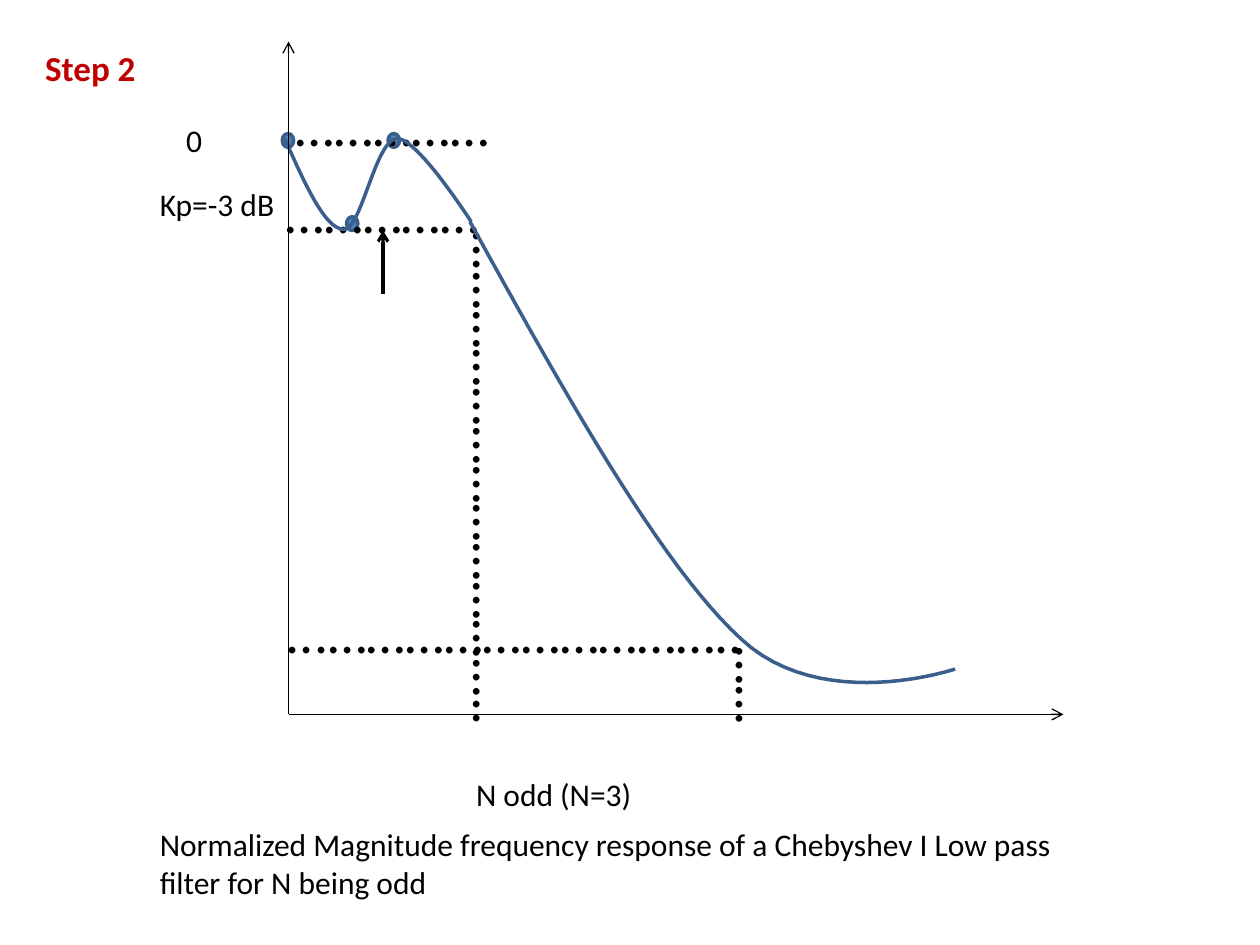
import pptx
import pptx.dml.color
import pptx.enum.shapes
import pptx.oxml.ns
import pptx.util
from lxml import etree

Inches = pptx.util.Inches
qn = pptx.oxml.ns.qn
BLACK, RED, BLUE, DARK_BLUE = "000000", "C00000", "4F81BD", "3A5F8C"
DOT_HEIGHT = 0.64

# Content: text, left, top, width, height, size, colour, bold
LABELS = [
    ("Step 2", 0.26, 0.32, 1.12, 0.44, 20, RED, True),
    ("0", 1.38, 0.91, 0.54, 0.4, 18, BLACK, False),
    ("Kp=-3 dB", 1.17, 1.42, 1.16, 0.4, 18, BLACK, False),
    ("N odd (N=3)", 3.68, 6.1, 1.47, 0.4, 18, BLACK, False),
    ("Normalized Magnitude frequency response of a Chebyshev I Low pass "
     "filter for N being odd", 1.17, 6.5, 7.67, 0.71, 18, BLACK, False),
]
# Dotted guides: text, left, top, width, rotation
GUIDES = [
    ("……………", 2.25, 0.67, 2.42, 0),
    ("……………", 2.17, 1.36, 2.42, 0),
    ("...…………………………..", 2.17, 4.69, 4.58, 0),
    ("...……………………………..", 1.64, 3.69, 4.58, 90),
    ("……", 5.49, 5.24, 1.05, 90),
]
MARKERS = [(2.24, 1.06), (3.08, 1.06), (2.75, 1.72)]
ORIGIN = (2.29, 5.67)
# Arrows: start, end, line width
ARROWS = [
    (ORIGIN, (8.44, 5.67), 0.75),
    (ORIGIN, (2.29, 0.33), 0.75),
    ((3.04, 2.33), (3.04, 1.83), 1.75),
]
# Bezier curves: start point, then two controls and an end for each segment
RIPPLE = [(2.26, 1.1), (2.42, 1.46), (2.58, 1.82), (2.73, 1.82),
          (2.87, 1.82), (2.98, 1.11), (3.15, 1.1),
          (3.31, 1.09), (3.74, 1.76), (3.74, 1.76)]
ROLL_OFF = [(3.73, 1.76), (4.48, 3.12), (5.24, 4.48), (5.88, 5.07),
            (6.52, 5.67), (7.58, 5.31), (7.58, 5.31)]
STEPS = 24


def color(value):
    return pptx.dml.color.RGBColor.from_string(value)


def set_line(shape, value, width):
    shape.line.color.rgb = color(value)
    shape.line.width = pptx.util.Pt(width)


def add_text(slide, text, left, top, width, height, size, value, bold=False):
    shape = slide.shapes.add_textbox(*map(Inches, (left, top, width, height)))
    shape.text_frame.word_wrap = True
    shape.text_frame.text = text
    font = shape.text_frame.paragraphs[0].runs[0].font
    font.name, font.size, font.bold = "Calibri", pptx.util.Pt(size), bold
    font.color.rgb = color(value)
    return shape


def add_marker(slide, left, top):
    shape = slide.shapes.add_shape(
        pptx.enum.shapes.MSO_SHAPE.OVAL, *map(Inches, (left, top, 0.09, 0.11)))
    shape.shadow.inherit = False
    shape.fill.solid()
    shape.fill.fore_color.rgb = color(BLUE)
    set_line(shape, DARK_BLUE, 2)


def add_arrow(slide, start, end, width):
    arrow = slide.shapes.add_connector(
        pptx.enum.shapes.MSO_CONNECTOR.STRAIGHT, *map(Inches, start + end))
    set_line(arrow, BLACK, width)
    properties = arrow.element.find(qn("p:spPr"))
    etree.SubElement(properties.find(qn("a:ln")), qn("a:tailEnd"), type="arrow")
    etree.SubElement(properties, qn("a:effectLst"))


def bezier(points, t):
    weights = ((1 - t) ** 3, 3 * t * (1 - t) ** 2, 3 * t * t * (1 - t), t ** 3)
    return tuple(sum(w * p[axis] for w, p in zip(weights, points)) for axis in (0, 1))


def add_curve(slide, points):
    vertices = [bezier(points[i:i + 4], step / STEPS)
                for i in range(0, len(points) - 1, 3) for step in range(1, STEPS + 1)]
    # Whole EMU coordinates keep the sampled curve smooth
    start, *others = [tuple(map(Inches, point)) for point in [points[0]] + vertices]
    builder = slide.shapes.build_freeform(*start)
    builder.add_line_segments(others, close=False)
    shape = builder.convert_to_shape()
    shape.shadow.inherit = False
    shape.fill.background()
    set_line(shape, DARK_BLUE, 2)


def main():
    presentation = pptx.Presentation()
    presentation.slide_width, presentation.slide_height = Inches(10), Inches(7.5)
    slide = presentation.slides.add_slide(presentation.slide_layouts[6])

    # Extremes of the ripple and the dotted guides
    for marker in MARKERS:
        add_marker(slide, *marker)
    for text, left, top, width, rotation in GUIDES:
        guide = add_text(slide, text, left, top, width, DOT_HEIGHT, 32, BLACK)
        guide.rotation = rotation

    # Response curve, axes and pointer
    for curve in (ROLL_OFF, RIPPLE):
        add_curve(slide, curve)
    for arrow in ARROWS:
        add_arrow(slide, *arrow)

    # Heading, labels and caption
    for label in LABELS:
        add_text(slide, *label)

    presentation.save("out.pptx")


if __name__ == "__main__":
    main()
